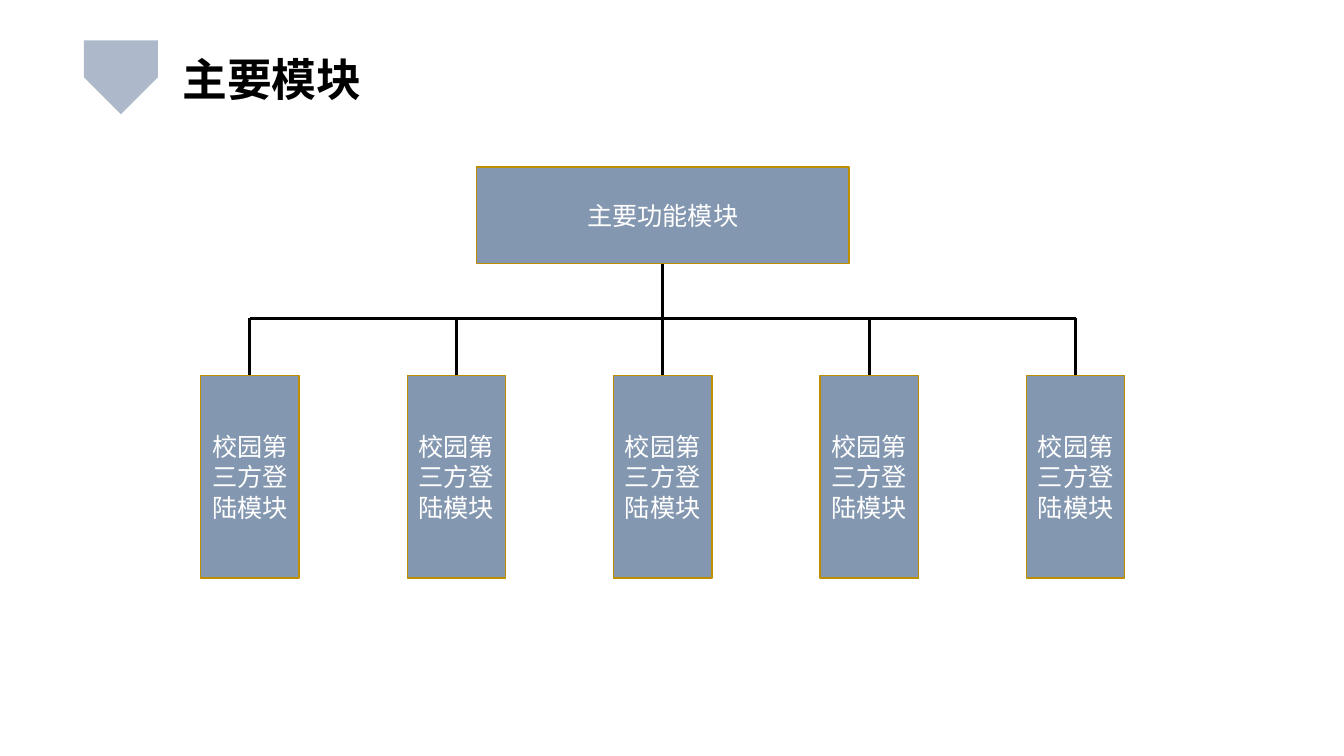
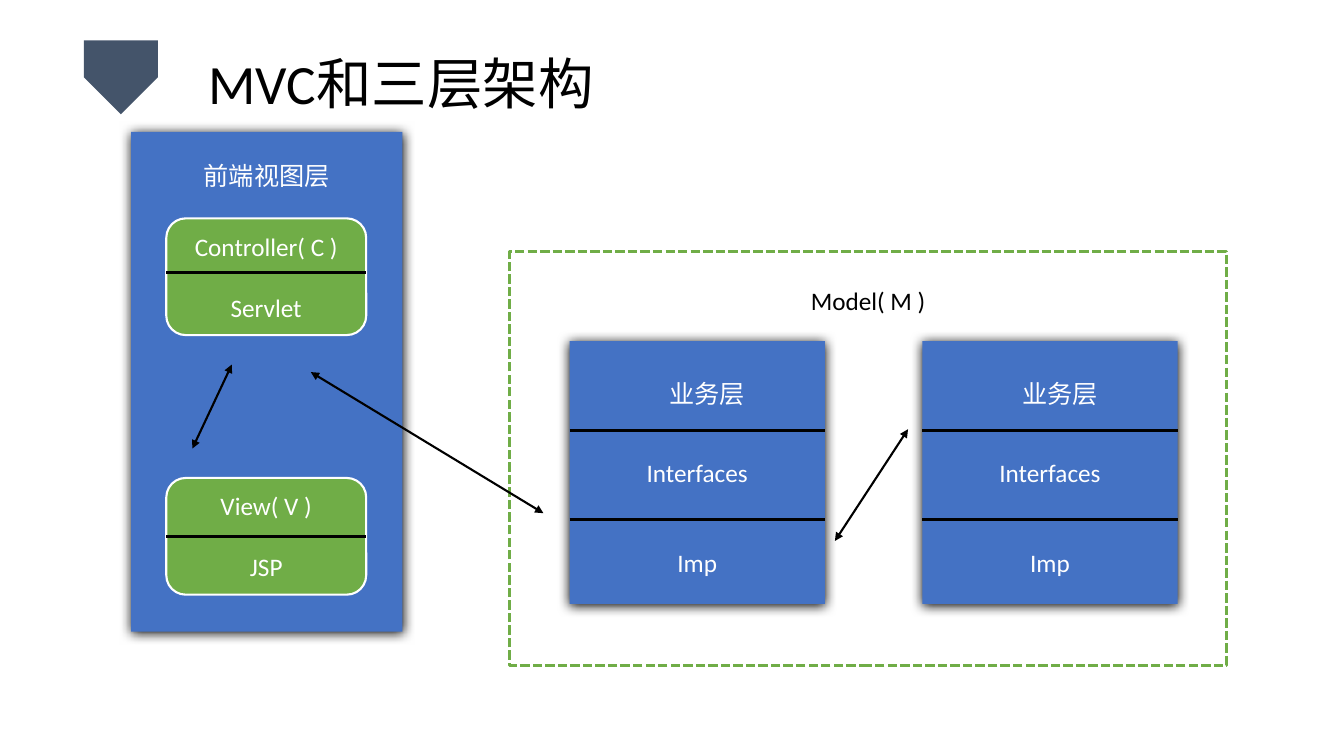
from lxml import etree
from pptx import Presentation
from pptx import util as u
from pptx.dml.color import RGBColor
from pptx.enum import dml, shapes, text
from pptx.oxml import ns

COLUMNS, ROWS = 160, 90
UNIT = u.Inches(1) // 12
COLORS = {
    "black": "000000",
    "white": "FFFFFF",
    "navy": "44546A",
    "mist": "ADB9CA",
    "slate": "8497B0",
    "gold": "BD8E00",
    "blue": "4472C4",
    "green": "70AD47",
}
LATIN_FONT = "Calibri"
CHINESE_FONT = "Noto Sans CJK SC"
BADGE_BOX = (10, 4.8, 8.8, 8.8)
LABEL_HEIGHT = 4.8


def grid(*values):
    return [u.Emu(round(value * UNIT)) for value in values]


def color(name):
    return RGBColor.from_string(COLORS[name])


def add_child(parent, tag, **attributes):
    return etree.SubElement(parent, ns.qn(tag), **attributes)


def write(frame, *lines, size=18, font=LATIN_FONT, fill="white", bold=False,
          align=text.PP_ALIGN.CENTER, anchor=text.MSO_ANCHOR.MIDDLE,
          gap=0, spacing=1.0):
    frame.word_wrap = True
    frame.auto_size = text.MSO_AUTO_SIZE.NONE
    frame.vertical_anchor = anchor
    for index, line in enumerate(lines):
        paragraph = frame.add_paragraph() if index else frame.paragraphs[0]
        paragraph.alignment = align
        paragraph.line_spacing = spacing
        paragraph.space_before = u.Pt(gap if index else 0)
        run = paragraph.add_run()
        run.text = line
        run.font.size = u.Pt(size)
        run.font.bold = bold
        run.font.name = font
        run.font.color.rgb = color(fill)
        add_child(run._r.get_or_add_rPr(), "a:ea", typeface=CHINESE_FONT)


def add_block(slide, box, fill, kind=shapes.MSO_SHAPE.RECTANGLE,
              line=None, width=1, shadow=False):
    shape = slide.shapes.add_shape(kind, *grid(*box))
    shape.shadow.inherit = False
    shape.fill.solid()
    shape.fill.fore_color.rgb = color(fill)
    if line:
        shape.line.color.rgb = color(line)
        shape.line.width = u.Pt(width)
    else:
        shape.line.fill.background()
    if shadow:
        effects = shape._element.spPr.find(ns.qn("a:effectLst"))
        outer = add_child(effects, "a:outerShdw", blurRad=str(u.Pt(8.5)),
                          dist=str(u.Pt(1)), dir="5400000", algn="t", rotWithShape="0")
        add_child(outer, "a:srgbClr", val=COLORS["black"])
    return shape


def add_label(slide, box, line, **style):
    label = slide.shapes.add_textbox(*grid(*box))
    write(label.text_frame, line, **style)


def add_line(slide, start, end, width=2.25, arrows=False):
    connector = slide.shapes.add_connector(
        shapes.MSO_CONNECTOR.STRAIGHT, *grid(*start, *end))
    connector.line.color.rgb = color("black")
    connector.line.width = u.Pt(width)
    if arrows:
        outline = connector.line._get_or_add_ln()
        for tag in ("a:headEnd", "a:tailEnd"):
            add_child(outline, tag, type="triangle")
    add_child(connector._element.spPr, "a:effectLst")
    return connector


def add_divider(slide, box, share):
    left, top, width, height = box
    row = top + share * height
    add_line(slide, (left, row), (left + width, row))


def add_titled_slide(presentation, title, box, badge_fill, **style):
    slide = presentation.slides.add_slide(presentation.slide_layouts[5])
    placeholder = slide.shapes.title
    placeholder.left, placeholder.top, placeholder.width, placeholder.height = grid(*box)
    write(placeholder.text_frame, title, fill="black", align=text.PP_ALIGN.LEFT, **style)
    badge = add_block(slide, BADGE_BOX, badge_fill, shapes.MSO_SHAPE.SNIP_2_SAME_RECTANGLE)
    badge.adjustments[0], badge.adjustments[1] = 0.5, 0
    badge.rotation = 180
    return slide


def add_module_tree(slide, box, root_text, module_texts):
    left, top, width, height = box
    root_width, root_height = 44.4, 11.5
    module_width, module_height = 11.7, 24.1
    pitch = (width - module_width) / (len(module_texts) - 1)
    center, bus_row = left + width / 2, top + 18
    module_top = top + height - module_height

    root = add_block(slide, (center - root_width / 2, top, root_width, root_height),
                     "slate", line="gold")
    write(root.text_frame, root_text)
    stem = add_line(slide, (center, top + root_height), (center, bus_row))
    stem.begin_connect(root, 2)
    first = left + module_width / 2
    add_line(slide, (first, bus_row), (left + width - module_width / 2, bus_row))

    for index, module_text in enumerate(module_texts):
        module = add_block(
            slide, (left + index * pitch, module_top, module_width, module_height),
            "slate", line="gold")
        write(module.text_frame, module_text)
        column = first + index * pitch
        branch = add_line(slide, (column, bus_row), (column, module_top))
        branch.end_connect(module, 0)


def add_card(slide, box, lines, divider):
    card = add_block(slide, box, "green", shapes.MSO_SHAPE.ROUNDED_RECTANGLE,
                     line="white", width=1.5)
    write(card.text_frame, *lines, gap=22)
    add_divider(slide, box, divider)


def add_view_layer(slide, box):
    left, top, width, height = box
    add_block(slide, box, "blue", shadow=True)
    add_label(slide, (left, top + 2.8, width, LABEL_HEIGHT), "前端视图层")
    cards = (
        (10.3, ("Controller( C )", "Servlet"), 0.46),
        (41.2, ("View( V )", "JSP"), 0.5),
    )
    for row, lines, divider in cards:
        add_card(slide, (left + 4.2, top + row, 23.8, 13.9), lines, divider)


def add_tier(slide, box):
    left, top, width, height = box
    tier = add_block(slide, box, "blue", shadow=True)
    write(tier.text_frame, "Interfaces")
    add_label(slide, (left + 1.2, top + 3.8, width, LABEL_HEIGHT), "业务层")
    add_label(slide, (left, top + 24, width, LABEL_HEIGHT), "Imp")
    for share in (0.34, 0.68):
        add_divider(slide, box, share)


def add_model_layer(slide, box):
    left, top, width, height = box
    frame = add_block(slide, box, "white", line="green", width=2.25)
    frame.line.dash_style = dml.MSO_LINE.SQUARE_DOT
    add_label(slide, (left, top + 3.5, width, LABEL_HEIGHT), "Model( M )", fill="black")
    for column in (7.1, 49.1):
        add_tier(slide, (left + column, top + 10.7, 30.4, 31.3))


def build_modules_slide(presentation):
    slide = add_titled_slide(
        presentation, "主要模块", (20.5, 5.5, 51.7, 7.7), "mist",
        size=32, bold=True, font=CHINESE_FONT, anchor=text.MSO_ANCHOR.TOP)
    add_module_tree(slide, (23.9, 19.9, 110, 48.9), "主要功能模块",
                    ["校园第三方登陆模块"] * 5)


def build_architecture_slide(presentation):
    slide = add_titled_slide(
        presentation, "MVC和三层架构", (23.6, 4.8, 50.4, 10.9), "navy",
        size=39.6, spacing=0.9)
    add_view_layer(slide, (15.6, 15.7, 32.3, 59.5))
    add_model_layer(slide, (60.7, 29.9, 85.3, 49.3))
    arrows = (
        ((27.6, 43.4), (22.9, 53.4)),
        ((108.1, 51.1), (99.4, 64.4)),
        ((37, 44.3), (64.7, 61.1)),
    )
    for start, end in arrows:
        add_line(slide, start, end, width=1.5, arrows=True)


def main():
    presentation = Presentation()
    presentation.slide_width, presentation.slide_height = grid(COLUMNS, ROWS)
    build_modules_slide(presentation)
    build_architecture_slide(presentation)
    presentation.save("out.pptx")


if __name__ == "__main__":
    main()
